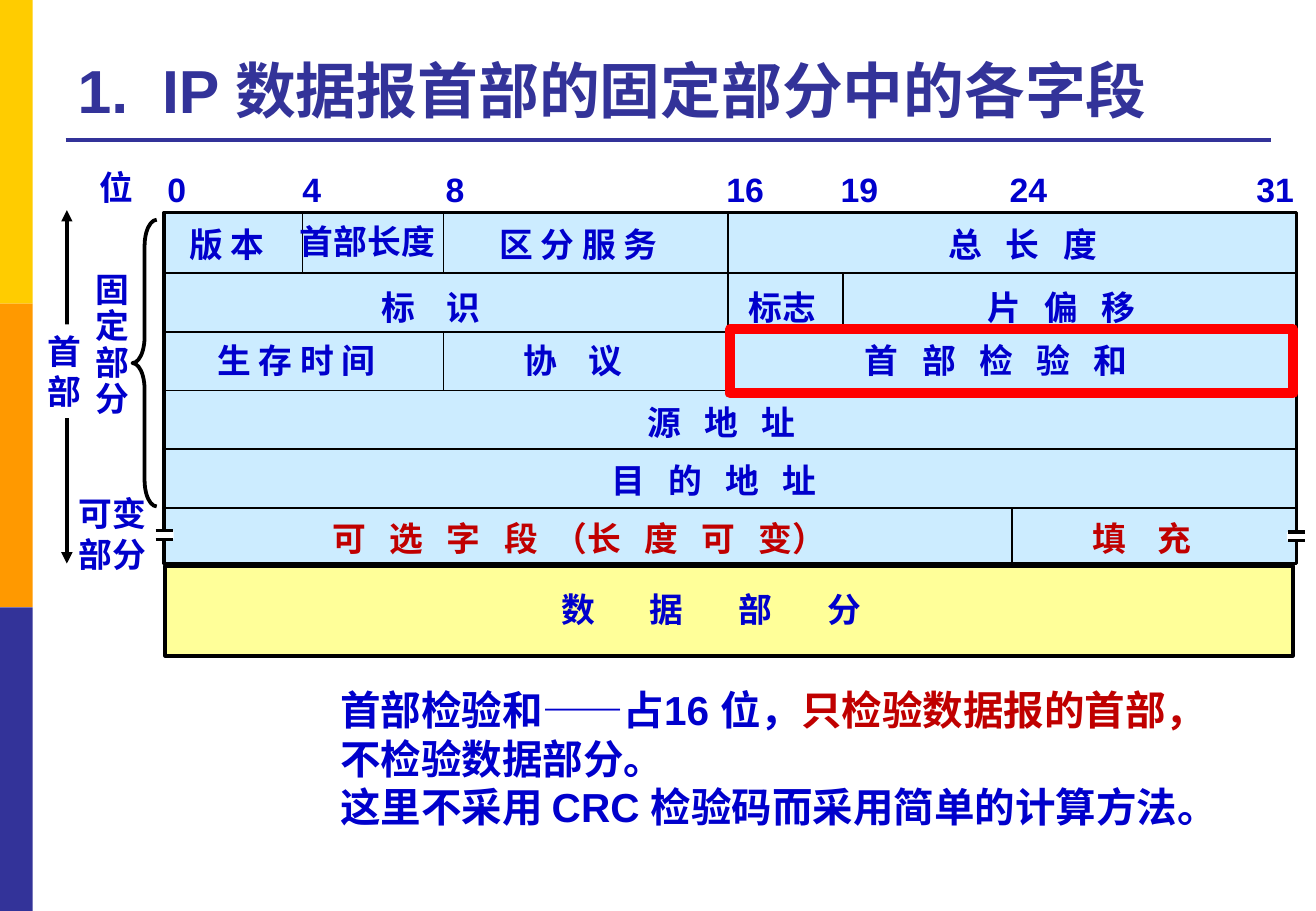
"""Draw the IP datagram header slide on a grid of tenth-inch columns and rows."""
from dataclasses import dataclass
from typing import Any

import lxml.etree
import pptx
import pptx.dml.color
import pptx.enum.shapes
import pptx.enum.text
import pptx.oxml.ns
import pptx.util

CELL = 0.1
BLUE, RED, NAVY, BLACK, WHITE = "0000CC", "C00000", "333399", "000000", "FFFFFF"
SHAPE = pptx.enum.shapes.MSO_SHAPE
LEFT, RIGHT = 13.5, 106.7
LABEL_ROWS = (17.9, 23.1, 27.5, 32.6, 37.4, 42.1)
ROW_LINES = [22.5 + 4.83 * i for i in range(5)]
WIDE, WIDER, WIDEST = 4.65, 7, 14


@dataclass(frozen=True)
class Run:
    text: str
    spacing: float = 0
    color: str = ""


@dataclass(frozen=True)
class Label:
    col: float
    row: float
    cols: float
    paragraphs: tuple[tuple[Run, ...], ...]
    color: str = BLUE
    rows: float = 4.3
    size: int = 20
    line_spacing: float = 1.0
    wrap: bool = False
    fill: str = ""
    bottom: bool = False


@dataclass(frozen=True)
class Box:
    col: float
    row: float
    cols: float
    rows: float
    fill: str = ""
    line: str = ""
    weight: float = 0
    kind: Any = SHAPE.RECTANGLE


@dataclass(frozen=True)
class Line:
    col1: float
    row1: float
    col2: float
    row2: float
    weight: float = 1
    color: str = BLACK
    arrows: bool = False


def grid(cells: float) -> pptx.util.Length:
    """Turn a number of grid cells into a length."""
    return pptx.util.Inches(cells * CELL)


def rgb(color: str) -> pptx.dml.color.RGBColor:
    """Turn a hex string into a colour."""
    return pptx.dml.color.RGBColor.from_string(color)


def text(*lines: str, spacing: float = 0) -> tuple[tuple[Run, ...], ...]:
    """Make one paragraph of a single run from each line."""
    return tuple((Run(line, spacing),) for line in lines)


def draw_label(s: Any, label: Label) -> None:
    """Draw a bold text box."""
    sp = s.shapes.add_textbox(grid(label.col), grid(label.row), grid(label.cols), grid(label.rows))
    if label.fill:
        sp.fill.solid()
        sp.fill.fore_color.rgb = rgb(label.fill)
    tf = sp.text_frame
    tf.word_wrap = label.wrap
    if label.bottom:
        tf.vertical_anchor = pptx.enum.text.MSO_ANCHOR.BOTTOM
    for i, runs in enumerate(label.paragraphs):
        p = tf.add_paragraph() if i else tf.paragraphs[0]
        p.line_spacing = label.line_spacing
        p.font.name, p.font.bold = "Arial", True
        p.font.size = pptx.util.Pt(label.size)
        p.font.color.rgb = rgb(label.color)
        for run in runs:
            r = p.add_run()
            r.text = run.text
            if run.spacing:
                r._r.get_or_add_rPr().set("spc", str(round(run.spacing * 100)))
            if run.color:
                r.font.color.rgb = rgb(run.color)


def draw_box(s: Any, box: Box) -> Any:
    """Draw a preset shape without shadow."""
    sp = s.shapes.add_shape(box.kind, grid(box.col), grid(box.row), grid(box.cols), grid(box.rows))
    sp.shadow.inherit = False
    if box.fill:
        sp.fill.solid()
        sp.fill.fore_color.rgb = rgb(box.fill)
    else:
        sp.fill.background()
    if box.line:
        sp.line.color.rgb = rgb(box.line)
        sp.line.width = pptx.util.Pt(box.weight)
    else:
        sp.line.fill.background()
    return sp


def draw_line(s: Any, line: Line) -> None:
    """Draw a straight line, with arrowheads at both ends if asked."""
    sp = s.shapes.add_connector(
        pptx.enum.shapes.MSO_CONNECTOR.STRAIGHT,
        grid(line.col1), grid(line.row1), grid(line.col2), grid(line.row2))
    sp.line.color.rgb = rgb(line.color)
    sp.line.width = pptx.util.Pt(line.weight)
    if line.arrows:
        for end in ("a:headEnd", "a:tailEnd"):
            lxml.etree.SubElement(sp.line._ln, pptx.oxml.ns.qn(end), type="triangle")
    lxml.etree.SubElement(sp._element.spPr, pptx.oxml.ns.qn("a:effectLst"))


BITS = ((12.8, "0"), (23.9, "4"), (35.7, "8"), (58.8, "16"), (68.2, "19"), (82.1, "24"), (102.4, "31"))
DIVIDERS = ((24.9, 17.6, 22.5), (36.5, 17.6, 22.5), (36.5, 27.4, 32.1),
            (59.9, 17.6, 32.1), (83.3, 41.8, 46.6), (69.4, 22.6, 27.3))
OPTIONS = ((Run("可 选 字 段", WIDE), Run(" （"), Run("长 度 可 ", WIDE), Run("变）")),)
FIELDS = (
    Label(14.6, LABEL_ROWS[0], 8.4, text("版 本")),
    Label(23.7, 17.7, 13.2, text("首部长度")),
    Label(40.1, LABEL_ROWS[0], 15.6, text("区 分 服 务")),
    Label(77.1, LABEL_ROWS[0], 15.1, text("总 长 度", spacing=WIDE)),
    Label(30.4, LABEL_ROWS[1], 10.7, text("标 识", spacing=WIDER)),
    Label(60.6, LABEL_ROWS[1], 7.6, text("标志")),
    Label(80.3, LABEL_ROWS[1], 15.1, text("片 偏 移", spacing=WIDE)),
    Label(16.9, LABEL_ROWS[2], 15.6, text("生 存 时 间")),
    Label(42.1, LABEL_ROWS[2], 10.7, text("协 议", spacing=WIDER)),
    Label(70.2, LABEL_ROWS[2], 25.4, text("首 部 检 验 和", spacing=WIDE)),
    Label(52.3, LABEL_ROWS[3], 15.1, text("源 地 址", spacing=WIDE)),
    Label(49.3, LABEL_ROWS[4], 20.2, text("目 的 地 址", spacing=WIDE)),
    Label(26.4, LABEL_ROWS[5], 45.6, OPTIONS, RED),
    Label(88.9, LABEL_ROWS[5], 10.7, text("填 充", spacing=WIDER), RED),
    Label(45.2, 48, 34.5, text("数 据 部 分", spacing=WIDEST), wrap=True),
)
SIDE_LABELS = (
    Label(7.2, 13.2, 4.8, text("位")),
    Label(6.9, 22, 4.8, text(*"固定部分"), rows=13.1, line_spacing=0.9),
    Label(5.5, 40.1, 7.6, text("可变", "部分"), rows=7.7),
    Label(2.9, 26.7, 4.8, text(*"首部"), rows=7.7, fill=WHITE),
)
NOTE = Label(27, 55.9, 76, (
    (Run("首部检验和——占16 位，"), Run("只检验数据报的首部，", color=RED)),
    *text("不检验数据部分。", "这里不采用 CRC 检验码而采用简单的计算方法。"),
), rows=13.1, size=24, wrap=True)
TITLE = Label(5.4, 2.1, 99.1, ((Run("1."), Run(" ", 10), Run("IP 数据报首部的固定部分中的各字段")),),
              NAVY, rows=8.7, size=36, wrap=True, bottom=True)


def main() -> None:
    """Build and save the slide."""
    prs = pptx.Presentation()
    prs.slide_width, prs.slide_height = grid(108.3), grid(75)
    s = prs.slides.add_slide(prs.slide_layouts[6])
    for i, color in enumerate(("FFCC00", "FF9900", NAVY)):
        draw_box(s, Box(0, 25 * i, 2.7, 25, color))
    draw_line(s, Line(5.4, 11.5, 104.6, 11.5, 2.25, NAVY))
    draw_box(s, Box(LEFT, 17.5, RIGHT - LEFT, 28.9, "CCECFF", BLACK, 2))
    draw_box(s, Box(13.6, 46.6, 92.8, 7.4, "FFFF99", BLACK, 2.25))
    for row in ROW_LINES:
        draw_line(s, Line(LEFT, row, RIGHT, row))
    for col, top, bottom in DIVIDERS:
        draw_line(s, Line(col, top, col, bottom))
    for col, bit in BITS:
        draw_label(s, Label(col, 13.4, 3.6 if len(bit) == 1 else 5.1, text(bit)))
    for col, row in ((12.7, 43.7), (105.9, 43.8)):
        draw_box(s, Box(col, row, 1.6, 0.7, WHITE))
        for y in (row, row + 0.7):
            draw_line(s, Line(col + 0.1, y, col + 1.5, y, 2))
    draw_line(s, Line(5.5, 17.3, 5.5, 46.4, 2.25, arrows=True))
    brace = draw_box(s, Box(10.9, 18.1, 2, 23.6, "", BLACK, 2.25, SHAPE.LEFT_BRACE))
    brace.adjustments[0] = 1.08
    for label in (*FIELDS, *SIDE_LABELS, NOTE, TITLE):
        draw_label(s, label)
    draw_box(s, Box(60.1, 27.1, 46.3, 5.3, "", "FF0000", 6))
    prs.save("out.pptx")


if __name__ == "__main__":
    main()
